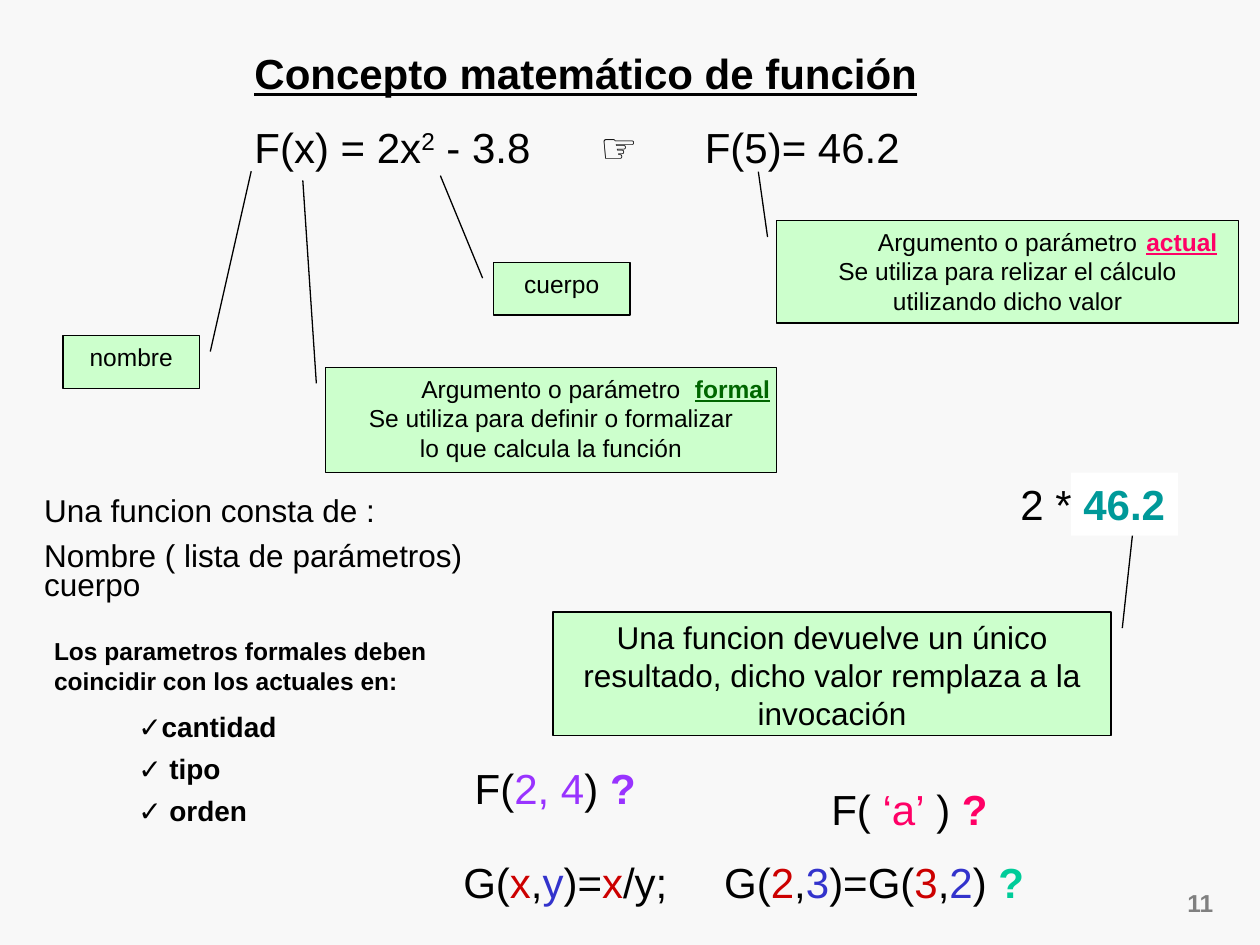
import dataclasses

import pptx
import pptx.dml.color
import pptx.enum.shapes
import pptx.enum.text
import pptx.oxml
import pptx.oxml.ns
import pptx.util

Cm = pptx.util.Cm
Pt = pptx.util.Pt
ALIGN = pptx.enum.text.PP_ALIGN
SHAPE = pptx.enum.shapes.MSO_SHAPE


@dataclasses.dataclass(frozen=True)
class Theme:
    font: str = "Arial"
    background: str = "F8F8F8"
    ink: str = "000000"
    callout: str = "CCFFCC"
    white: str = "FFFFFF"
    grey: str = "808080"
    pink: str = "FF0066"
    purple: str = "9933FF"
    green: str = "006600"
    red: str = "CC0000"
    blue: str = "3333CC"
    teal: str = "009999"
    mint: str = "00CC99"
    formula: int = 24
    body: int = 18
    item: int = 16
    label: int = 14


THEME = Theme()


def rgb(value):
    return pptx.dml.color.RGBColor.from_string(value)


def apply(target, formats):
    for name, value in formats.items():
        setattr(target, name, value)


def add_tabs(para, stops):
    """Add left tab stops, given in centimetres from the text edge."""
    tabs = pptx.oxml.parse_xml(f"<a:tabLst {pptx.oxml.ns.nsdecls('a')}/>")
    for stop in stops:
        tab = tabs.makeelement(pptx.oxml.ns.qn("a:tab"), {"pos": str(Cm(stop)), "algn": "l"})
        tabs.append(tab)
    para._p.get_or_add_pPr().append(tabs)


def add_span(para, text, size, color=THEME.ink, raised=False, **formats):
    span = para.add_run()
    span.text = text
    apply(span.font, {"name": THEME.font, "size": Pt(size), **formats})
    span.font.color.rgb = rgb(color)
    if raised:
        span._r.get_or_add_rPr().set("baseline", "30000")


def write(box, lines, size, tabs=(), wrap=True, **formats):
    """Fill a box; a line is a string or a list of (text, color, formats) spans."""
    frame = box.text_frame
    apply(frame, {"word_wrap": wrap, "vertical_anchor": pptx.enum.text.MSO_ANCHOR.TOP})
    for index, line in enumerate(lines):
        para = frame.paragraphs[0] if index == 0 else frame.add_paragraph()
        if tabs:
            add_tabs(para, tabs)
        apply(para, {"alignment": ALIGN.LEFT, **formats})
        if index == 0:
            para.space_before = Pt(0)
        spans = [(line, THEME.ink, {})] if isinstance(line, str) else line
        for text, color, extra in spans:
            add_span(para, text, size, color, **extra)


def add_text(page, at, lines, size, **options):
    box = page.shapes.add_textbox(*map(Cm, at))
    write(box, lines, size, **options)


def add_panel(page, kind, at, fill):
    panel = page.shapes.add_shape(kind, *map(Cm, at))
    panel.shadow.inherit = False
    panel.fill.solid()
    panel.fill.fore_color.rgb = rgb(fill)
    return panel


def add_callout(page, at, pointer, lines, size=THEME.label):
    """Pointer gives the line's start y, x and end y, x as shares of the box."""
    panel = add_panel(page, SHAPE.LINE_CALLOUT_1, at, THEME.callout)
    for index, share in enumerate(pointer):
        panel.adjustments[index] = share
    panel.line.color.rgb = rgb(THEME.ink)
    panel.line.width = Pt(0.75)
    write(panel, lines, size, alignment=ALIGN.CENTER)


def colored(*pairs):
    return [(text, color, {}) for text, color in pairs]


def strong(text, color=THEME.ink, **extra):
    return text, color, {"bold": True, **extra}


def add_definition(page):
    ink = THEME.ink
    formula = [
        ("F(x) = 2x", ink, {}),
        ("2", ink, {"raised": True}),
        (" - 3.8\t", ink, {}),
        strong("☞"),
        ("\tF(5)= 46.2", ink, {}),
    ]
    title = [strong("Concepto matemático de función", underline=True)]
    add_text(page, (4.88, 0.84, 16.51, 2.79), [title, formula], THEME.formula,
             tabs=(6.97, 9.08), space_before=Pt(13))


def add_callouts(page):
    heading = "Argumento o parámetro"
    add_callout(page, (6.56, 7.41, 9.1, 2.12), (0.15, -0.02, -1.78, -0.05),
                [heading, "Se utiliza para definir o formalizar", "lo que calcula la función"])
    add_callout(page, (15.66, 4.45, 9.31, 2.06), (0.16, -0.02, -0.48, -0.04),
                [heading, "Se utiliza para relizar el cálculo utilizando dicho valor"])
    add_callout(page, (1.27, 6.77, 2.75, 1.06), (0.3, 1.08, -3.13, 1.38), ["nombre"])
    add_callout(page, (9.95, 5.29, 2.75, 1.06), (0.3, -0.08, -1.65, -0.39), ["cuerpo"])
    add_callout(page, (11.15, 12.34, 11.25, 2.49), (0.13, 1.02, -0.7, 1.04),
                ["Una funcion devuelve un único resultado, "
                 "dicho valor remplaza a la invocación"], THEME.body)
    for at, word, color in (
        ((22.86, 4.45, 2.11, 0.85), "actual", THEME.pink),
        ((13.76, 7.41, 2.11, 0.85), "formal", THEME.green),
    ):
        add_text(page, at, [[strong(word, color, underline=True)]], THEME.label)


def add_result(page):
    add_text(page, (20.32, 9.53, 4.01, 1.27), ["2 *"], THEME.formula)
    panel = add_panel(page, SHAPE.RECTANGLE, (21.59, 9.53, 2.16, 1.27), THEME.white)
    panel.line.fill.background()
    write(panel, [[strong("46.2", THEME.teal)]], THEME.formula, wrap=False)


def add_rules(page):
    add_text(page, (0.64, 9.96, 9.32, 2.36),
             ["Una funcion consta de :", "Nombre ( lista de parámetros) cuerpo"],
             THEME.body, line_spacing=0.75, space_before=Pt(9.5))
    add_text(page, (0.84, 12.7, 8.69, 1.45),
             [[strong("Los parametros formales deben coincidir con los actuales en:")]],
             THEME.label)
    for index, item in enumerate(("✓cantidad", "✓ tipo", "✓ orden")):
        add_text(page, (2.54, 14.18 + 0.85 * index, 3.81, 0.94), [[strong(item)]], THEME.item)


def add_questions(page):
    ink, red, blue = THEME.ink, THEME.red, THEME.blue
    for at, opening, argument, closing, color in (
        ((16.51, 15.67, 4.01, 1.27), "F( ", "‘a’", " ) ", THEME.pink),
        ((9.32, 15.24, 4.01, 1.27), "F(", "2, 4", ") ", THEME.purple),
    ):
        spans = colored((opening, ink), (argument, color), (closing, ink))
        add_text(page, at, [spans + [strong("?", color)]], THEME.formula)
    division = colored(
        ("G(", ink), ("x", red), (",", ink), ("y", blue), (")=", ink), ("x", red),
        ("/y;\tG(", ink), ("2", red), (",", ink), ("3", blue),
        (")=G(", ink), ("3", red), (",", ink), ("2", blue), (") ", ink),
    )
    add_text(page, (9.09, 17.15, 12.07, 1.27), [division + [strong("?", THEME.mint)]],
             THEME.formula, tabs=(5.26,))


def main():
    deck = pptx.Presentation()
    apply(deck, {"slide_width": Cm(25.4), "slide_height": Cm(19.05)})
    page = deck.slides.add_slide(deck.slide_layouts[6])
    page.background.fill.solid()
    page.background.fill.fore_color.rgb = rgb(THEME.background)
    add_text(page, (23.06, 17.78, 1.65, 0.84), [[strong("11", THEME.grey)]],
             THEME.label, alignment=ALIGN.RIGHT)
    add_definition(page)
    add_callouts(page)
    add_result(page)
    add_rules(page)
    add_questions(page)
    deck.save("out.pptx")


if __name__ == "__main__":
    main()
